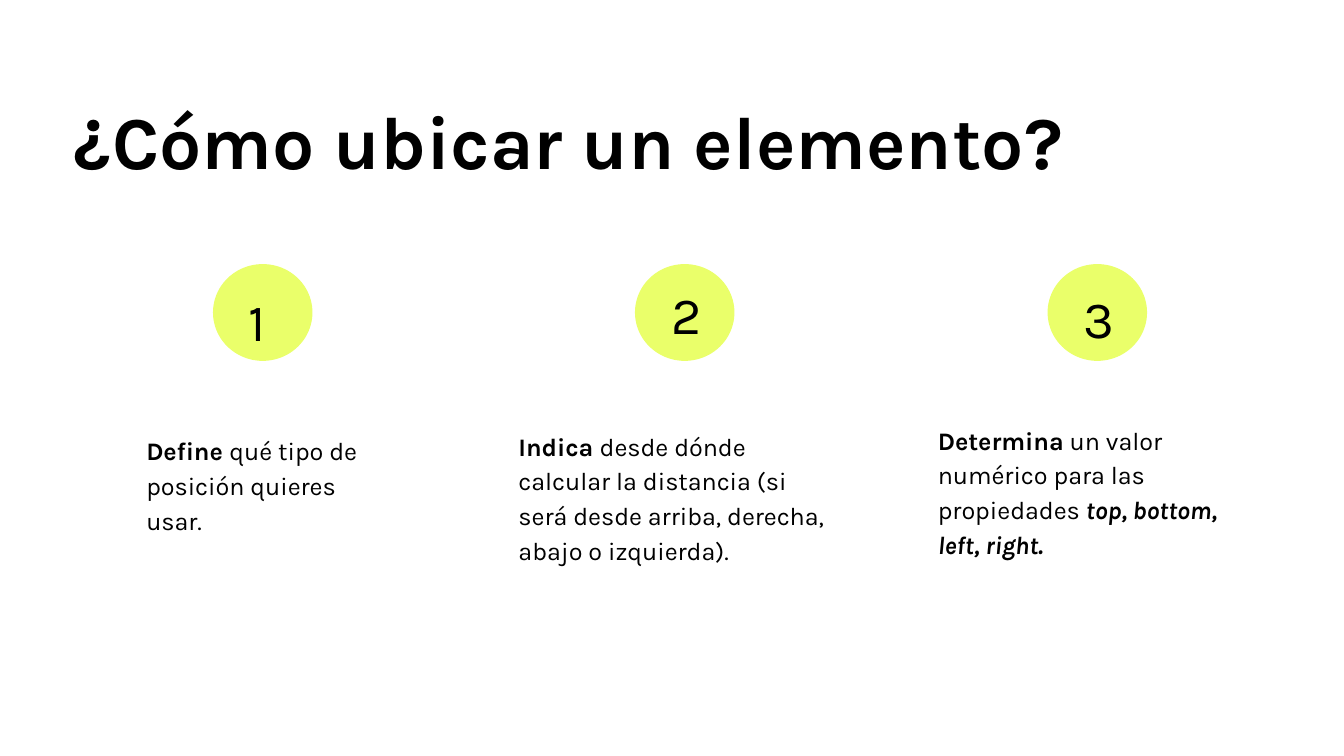
from pptx import Presentation
from pptx.dml.color import RGBColor
from pptx.enum.shapes import MSO_SHAPE
from pptx.enum.text import MSO_ANCHOR
from pptx.util import Inches, Pt

BLACK = "000000"
LIME = "EAFF6A"
WHITE = "FFFFFF"


def color(value):
    return RGBColor.from_string(value)


def add_run(paragraph, text, size=13.5, font="Karla", fill=BLACK, bold=False, italic=False):
    run = paragraph.add_run()
    run.text = text
    run.font.name = font
    run.font.size = Pt(size)
    run.font.bold = bold
    run.font.italic = italic
    run.font.color.rgb = color(fill)


class SlideBuilder:
    """Holds the style and the current slide."""

    margin = Inches(0.1)

    def __init__(self, slide, background=WHITE):
        self.slide = slide
        slide.background.fill.solid()
        slide.background.fill.fore_color.rgb = color(background)

    def text(self, box, runs, anchor=MSO_ANCHOR.TOP, line_spacing=1.0):
        shape = self.slide.shapes.add_textbox(*map(Inches, box))
        frame = shape.text_frame
        frame.word_wrap = True
        frame.vertical_anchor = anchor
        frame.margin_left = frame.margin_right = self.margin
        frame.margin_top = frame.margin_bottom = self.margin
        paragraph = frame.paragraphs[0]
        paragraph.line_spacing = line_spacing
        for text, options in runs:
            add_run(paragraph, text, **options)

    def circle(self, box, fill=LIME):
        shape = self.slide.shapes.add_shape(MSO_SHAPE.OVAL, *map(Inches, box))
        shape.shadow.inherit = False
        shape.fill.solid()
        shape.fill.fore_color.rgb = color(fill)
        shape.line.color.rgb = color(fill)
        shape.line.width = Pt(0.75)


def main():
    # Widescreen page, 16:9
    presentation = Presentation()
    presentation.slide_width = Inches(10)
    presentation.slide_height = Inches(10) * 9 // 16
    builder = SlideBuilder(presentation.slides.add_slide(presentation.slide_layouts[6]))
    bold = {"bold": True}

    # Title
    builder.text((0.45, 0.68, 8.9, 0.81),
                 [("¿Cómo ubicar un elemento?", {"size": 40, "bold": True})],
                 line_spacing=0.9)

    # Steps: circle left, number box, description box, description
    steps = [
        (1.59, (1.75, 2.05, 0.32, 0.43), (0.99, 3.01, 1.93, 1.17),
         [("Define ", bold), ("qué tipo de posición quieres usar.", {})]),
        (4.73, (4.9, 2, 0.32, 0.43), (3.76, 3.19, 2.6, 1),
         [("Indica ", bold),
          ("desde dónde calcular la distancia (si será desde arriba, "
           "derecha, abajo o izquierda).", {})]),
        (7.8, (7.96, 2.03, 0.32, 0.36), (6.88, 3.06, 2.34, 1.17),
         [("Determina", bold), (" un valor numérico para las propiedades ", {}),
          ("top, bottom, left, right.", {"bold": True, "italic": True})]),
    ]
    for number, (left, number_box, description_box, description) in enumerate(steps, 1):
        builder.circle((left, 1.97, 0.73, 0.71))
        builder.text(number_box, [(str(number), {"size": 28})])
        builder.text(description_box, description, MSO_ANCHOR.MIDDLE, 1.15)

    presentation.save("out.pptx")


if __name__ == "__main__":
    main()
